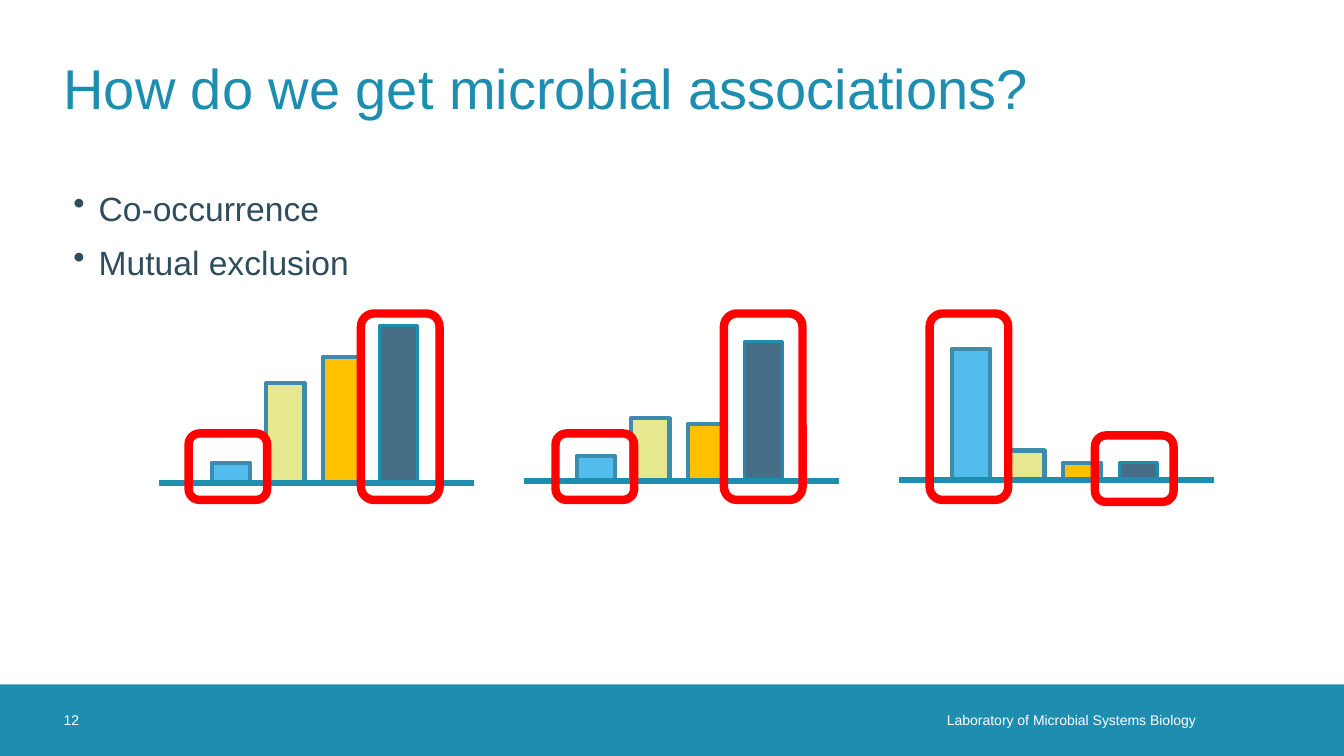
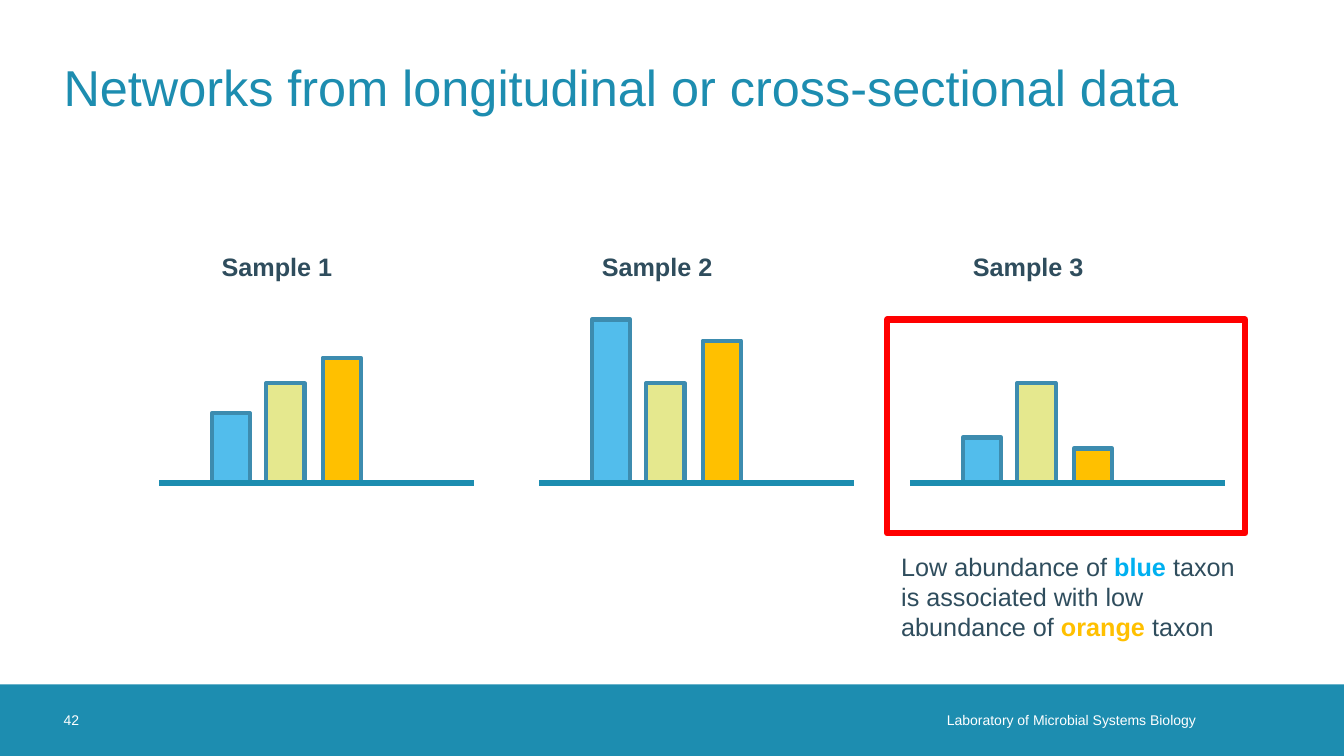
from typing import NamedTuple, Optional

from lxml import etree
from pptx import Presentation
from pptx.dml.color import RGBColor
from pptx.enum.shapes import MSO_CONNECTOR, MSO_SHAPE
from pptx.enum.text import MSO_ANCHOR, MSO_AUTO_SIZE, PP_ALIGN
from pptx.oxml.ns import qn
from pptx.util import Inches, Pt

RECTANGLE = MSO_SHAPE.RECTANGLE
ROUNDED = MSO_SHAPE.ROUNDED_RECTANGLE
STRAIGHT = MSO_CONNECTOR.STRAIGHT
TOP, MIDDLE = MSO_ANCHOR.TOP, MSO_ANCHOR.MIDDLE
LEFT, RIGHT = PP_ALIGN.LEFT, PP_ALIGN.RIGHT
NO_AUTO_SIZE = MSO_AUTO_SIZE.NONE

FONT = "Arial"
TEAL, SLATE, WHITE, RED = "1D8DB0", "2F4D5D", "FFFFFF", "FF0000"
BAR_OUTLINE = "3D8CAF"
SLIDE_WIDTH, SLIDE_HEIGHT = 13.33, 7.5
MARGIN = 0.63
BAND_TOP, BAND_HEIGHT = 6.79, 0.71
BAR_WIDTH, AXIS_LENGTH = 0.38, 3.12
HIGHLIGHT_WIDTH = 0.78
FOOTER = "Laboratory of Microbial Systems Biology"
NO_INSETS = (0, 0, 0, 0)
DEFAULT_INSETS = (0.1, 0.05, 0.1, 0.05)


class Box(NamedTuple):
    left: float
    top: float
    width: float
    height: float


class Run(NamedTuple):
    text: str
    color: Optional[str] = None
    bold: Optional[bool] = None


class BarStyle(NamedTuple):
    offset: float
    fill: str
    outline: str
    outline_width: float


class BarChart(NamedTuple):
    left: float
    baseline: float
    heights: tuple[float, ...]
    label: str = ""


class Highlight(NamedTuple):
    left: float
    top: float
    height: float


TAXA = (
    BarStyle(0.52, "52BDEC", BAR_OUTLINE, 3),
    BarStyle(1.06, "E5E88E", BAR_OUTLINE, 3),
    BarStyle(1.62, "FFC000", BAR_OUTLINE, 3),
    BarStyle(2.18, "466E87", TEAL, 2.25),
)
ASSOCIATION_CHARTS = (
    BarChart(1.58, 4.79, (0.2, 0.99, 1.25, 1.56)),
    BarChart(5.2, 4.77, (0.25, 0.62, 0.56, 1.38)),
    BarChart(8.92, 4.76, (1.3, 0.29, 0.17, 0.17)),
)
SAMPLE_CHARTS = (
    BarChart(1.58, 4.79, (0.69, 0.99, 1.24), "Sample 1"),
    BarChart(5.35, 4.79, (1.62, 0.99, 1.41), "Sample 2"),
    BarChart(9.03, 4.79, (0.45, 0.99, 0.34), "Sample 3"),
)
HIGHLIGHTS = (
    Highlight(1.87, 4.3, 0.66),
    Highlight(3.58, 3.11, 1.85),
    Highlight(5.51, 4.3, 0.66),
    Highlight(7.18, 3.11, 1.85),
    Highlight(9.22, 3.11, 1.85),
    Highlight(10.86, 4.32, 0.66),
)


def rgb(color: str) -> RGBColor:
    return RGBColor.from_string(color)


def in_inches(box: Box) -> list:
    return [Inches(length) for length in box]


def add_bullet(paragraph) -> None:
    properties = paragraph._p.get_or_add_pPr()
    properties.set("marL", str(Inches(0.25)))
    properties.set("indent", str(Inches(-0.25)))
    etree.SubElement(properties, qn("a:buChar")).set("char", "•")


def write_text(shape, paragraphs: list, *, size: float, color: str = SLATE,
               bold: bool = False, align=LEFT, anchor=TOP,
               insets=DEFAULT_INSETS, bullets: bool = False,
               space_before: float = 0) -> None:
    """Fill a shape; each paragraph is a string or a list of runs."""
    frame = shape.text_frame
    frame.word_wrap = True
    frame.auto_size = NO_AUTO_SIZE
    frame.vertical_anchor = anchor
    (frame.margin_left, frame.margin_top,
     frame.margin_right, frame.margin_bottom) = map(Inches, insets)
    for index, content in enumerate(paragraphs):
        paragraph = frame.add_paragraph() if index else frame.paragraphs[0]
        paragraph.alignment = align
        if bullets:
            add_bullet(paragraph)
        paragraph.space_before = Pt(space_before if index else 0)
        runs = [Run(content)] if isinstance(content, str) else content
        for item in runs:
            run = paragraph.add_run()
            run.text = item.text
            run.font.name = FONT
            run.font.size = Pt(size)
            run.font.bold = bold if item.bold is None else item.bold
            run.font.color.rgb = rgb(item.color or color)


def add_text(slide, box: Box, paragraphs: list, **text_format) -> None:
    write_text(slide.shapes.add_textbox(*in_inches(box)), paragraphs, **text_format)


def add_box(slide, box: Box, *, kind=RECTANGLE, fill: str = "",
            outline: str = "", outline_width: float = 0) -> None:
    shape = slide.shapes.add_shape(kind, *in_inches(box))
    shape.shadow.inherit = False
    if fill:
        shape.fill.solid()
        shape.fill.fore_color.rgb = rgb(fill)
    else:
        shape.fill.background()
    if outline:
        shape.line.color.rgb = rgb(outline)
        shape.line.width = Pt(outline_width)
    else:
        shape.line.fill.background()


def add_axis(slide, left: float, baseline: float) -> None:
    axis = slide.shapes.add_connector(
        STRAIGHT, Inches(left), Inches(baseline),
        Inches(left + AXIS_LENGTH), Inches(baseline))
    axis.line.color.rgb = rgb(TEAL)
    axis.line.width = Pt(4.5)
    etree.SubElement(axis._element.spPr, qn("a:effectLst"))


def add_bar_chart(slide, chart: BarChart) -> None:
    """Draw a schematic abundance profile standing on its axis."""
    for taxon, height in zip(TAXA, chart.heights):
        bar = Box(chart.left + taxon.offset, chart.baseline - height, BAR_WIDTH, height)
        add_box(slide, bar, fill=taxon.fill, outline=taxon.outline,
                outline_width=taxon.outline_width)
    add_axis(slide, chart.left, chart.baseline)
    if chart.label:
        label_box = Box(chart.left + TAXA[0].offset, 2.44, 2.09, 0.4)
        add_text(slide, label_box, [chart.label], size=18, bold=True)


def add_slide(presentation, title: str, title_size: float, number: int):
    """Add a slide with its title, footer band and slide number."""
    slide = presentation.slides.add_slide(presentation.slide_layouts[5])
    placeholder = slide.shapes.title
    (placeholder.left, placeholder.top,
     placeholder.width, placeholder.height) = in_inches(Box(MARGIN, 0.23, 12.07, 1.26))
    write_text(placeholder, [title], size=title_size, color=TEAL,
               anchor=MIDDLE, insets=NO_INSETS)
    add_box(slide, Box(0, BAND_TOP, SLIDE_WIDTH, BAND_HEIGHT), fill=TEAL)
    add_text(slide, Box(6.6, BAND_TOP, 5.46, BAND_HEIGHT), [FOOTER], size=10,
             color=WHITE, align=RIGHT, anchor=MIDDLE, insets=(0, 0, 0.2, 0))
    add_text(slide, Box(MARGIN, BAND_TOP, 0.71, BAND_HEIGHT), [str(number)], size=10,
             color=WHITE, anchor=MIDDLE, insets=NO_INSETS)
    return slide


def build_associations(presentation) -> None:
    slide = add_slide(presentation, "How do we get microbial associations?", 40, 12)
    add_text(slide, Box(MARGIN, 1.81, 12.07, 4.88),
             ["Co-occurrence", "Mutual exclusion"],
             size=24, bullets=True, space_before=10)
    for chart in ASSOCIATION_CHARTS:
        add_bar_chart(slide, chart)
    for highlight in HIGHLIGHTS:
        frame = Box(highlight.left, highlight.top, HIGHLIGHT_WIDTH, highlight.height)
        add_box(slide, frame, kind=ROUNDED, outline=RED, outline_width=6)


def build_networks(presentation) -> None:
    slide = add_slide(
        presentation, "Networks from longitudinal or cross-sectional data", 36, 42)
    for chart in SAMPLE_CHARTS:
        add_bar_chart(slide, chart)
    add_box(slide, Box(8.8, 3.17, 3.55, 2.12), outline=RED, outline_width=4.5)
    add_text(slide, Box(8.84, 5.42, 3.9, 1.01), [
        [Run("Low abundance of "), Run("blue ", "00B0F0", True), Run("taxon")],
        [Run("is associated with low abundance of "),
         Run("orange ", "FFC000", True), Run("taxon")],
    ], size=18)


def main() -> None:
    presentation = Presentation()
    presentation.slide_width = Inches(SLIDE_WIDTH)
    presentation.slide_height = Inches(SLIDE_HEIGHT)
    build_associations(presentation)
    build_networks(presentation)
    presentation.save("out.pptx")


if __name__ == "__main__":
    main()
